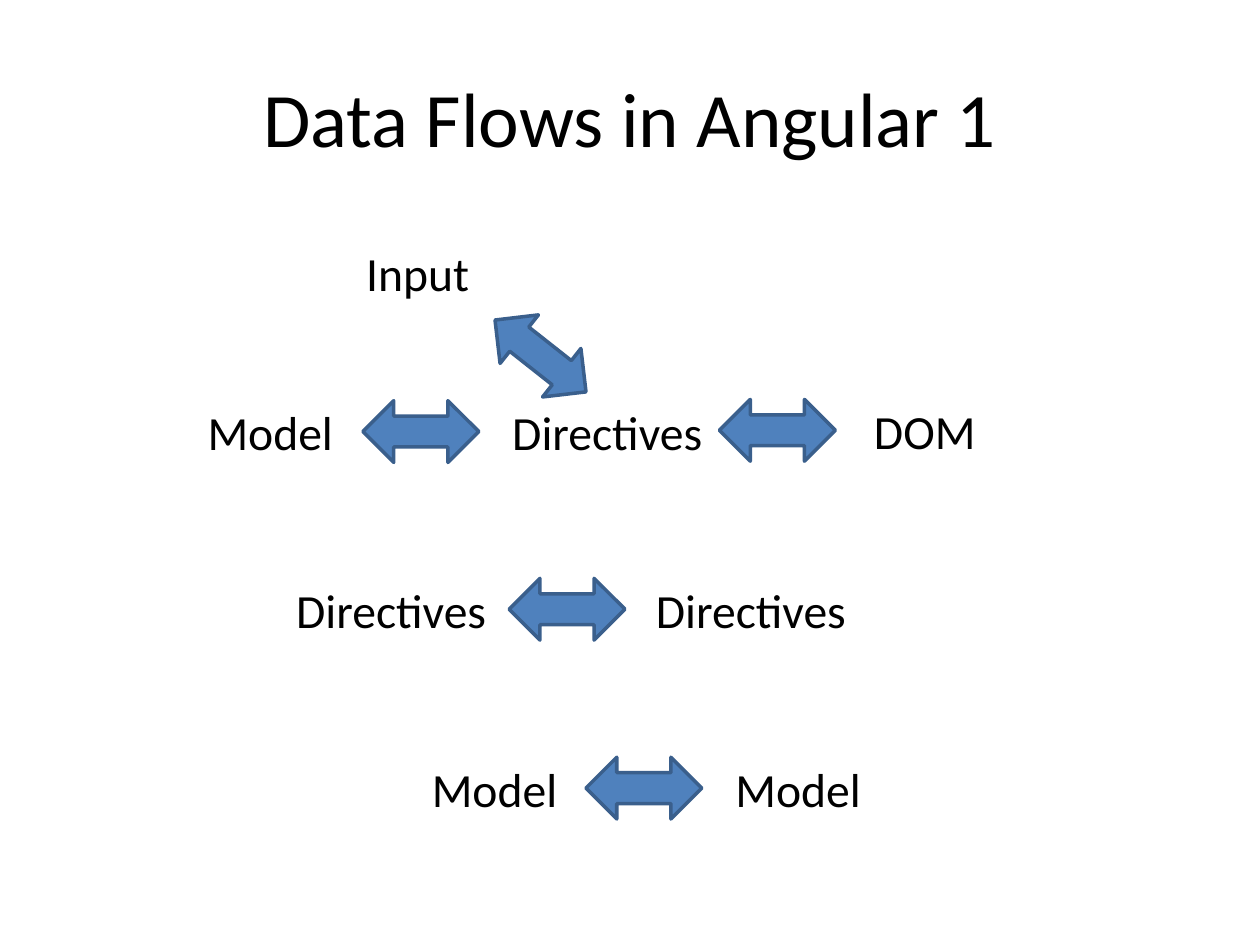
from dataclasses import dataclass
from pptx import Presentation
from pptx.dml.color import RGBColor
from pptx.enum.shapes import MSO_SHAPE as Shape
from pptx.enum.text import MSO_ANCHOR as Anchor, PP_ALIGN as Align
from pptx.util import Inches, Pt


@dataclass(frozen=True)
class Theme:
    font: str = "Calibri"
    text: RGBColor = RGBColor(0x00, 0x00, 0x00)
    fill: RGBColor = RGBColor(0x4F, 0x81, 0xBD)
    line: RGBColor = RGBColor(0x3A, 0x5F, 0x8C)
    title_size: float = 44
    label_size: float = 27.2


theme = Theme()
row_height = 0.49
arrow_width = 0.92


def write_text(box, text, size):
    frame = box.text_frame
    frame.text = text
    frame.word_wrap = True
    frame.vertical_anchor = Anchor.MIDDLE
    para = frame.paragraphs[0]
    para.alignment = Align.CENTER
    font = para.runs[0].font
    font.name = theme.font
    font.size = Pt(size)
    font.color.rgb = theme.text
    return para


deck = Presentation()
deck.slide_width, deck.slide_height = Inches(10), Inches(7.5)
page = deck.slides.add_slide(deck.slide_layouts[5])

title = page.shapes.title
title.left, title.top = Inches(0.5), Inches(0.3)
title.width, title.height = Inches(9), Inches(1.25)
write_text(title, "Data Flows in Angular 1", theme.title_size)

arrows = [
    (4.65, 6.01, 0),
    (4.04, 4.59, 0),
    (2.88, 3.18, 0),
    (5.71, 3.17, 0),
    (3.83, 2.58, 38.3),
]
for left, top, angle in arrows:
    arrow = page.shapes.add_shape(
        Shape.LEFT_RIGHT_ARROW, Inches(left), Inches(top), Inches(arrow_width), Inches(row_height)
    )
    arrow.rotation = angle
    arrow.shadow.inherit = False
    arrow.fill.solid()
    arrow.fill.fore_color.rgb = theme.fill
    arrow.line.color.rgb = theme.line
    arrow.line.width = Pt(2)

labels = [
    ("Model", 3.28, 6.01, 1.29),
    ("Model", 5.71, 6.01, 1.25),
    ("Directives", 2.25, 4.59, 1.71),
    ("Directives", 5.09, 4.59, 1.74),
    ("Model", 1.5, 3.18, 1.29),
    ("Directives", 3.93, 3.18, 1.78),
    ("DOM", 6.76, 3.17, 1.16),
    ("Input", 2.67, 1.92, 1.29),
]
for text, left, top, width in labels:
    box = page.shapes.add_textbox(Inches(left), Inches(top), Inches(width), Inches(row_height))
    para = write_text(box, text, theme.label_size)
    para.space_before = Pt(theme.label_size * 0.2)

deck.save("out.pptx")
